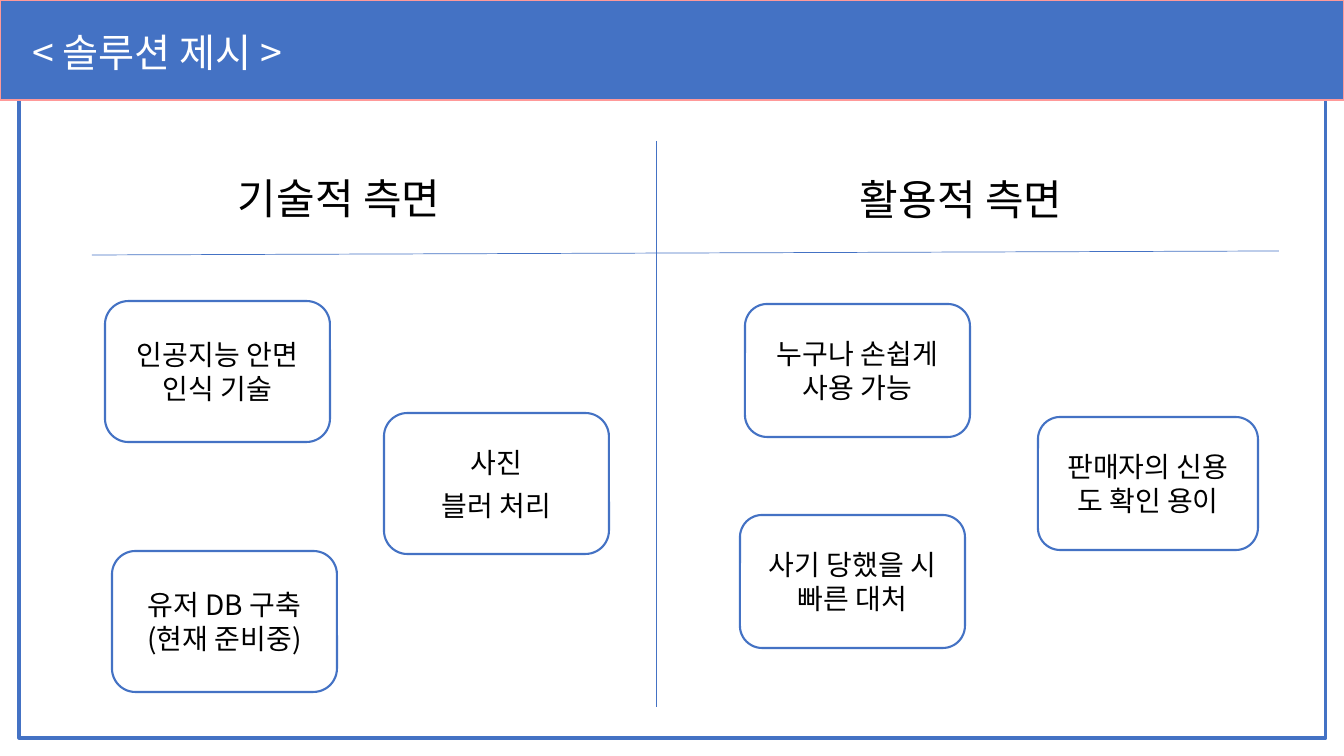
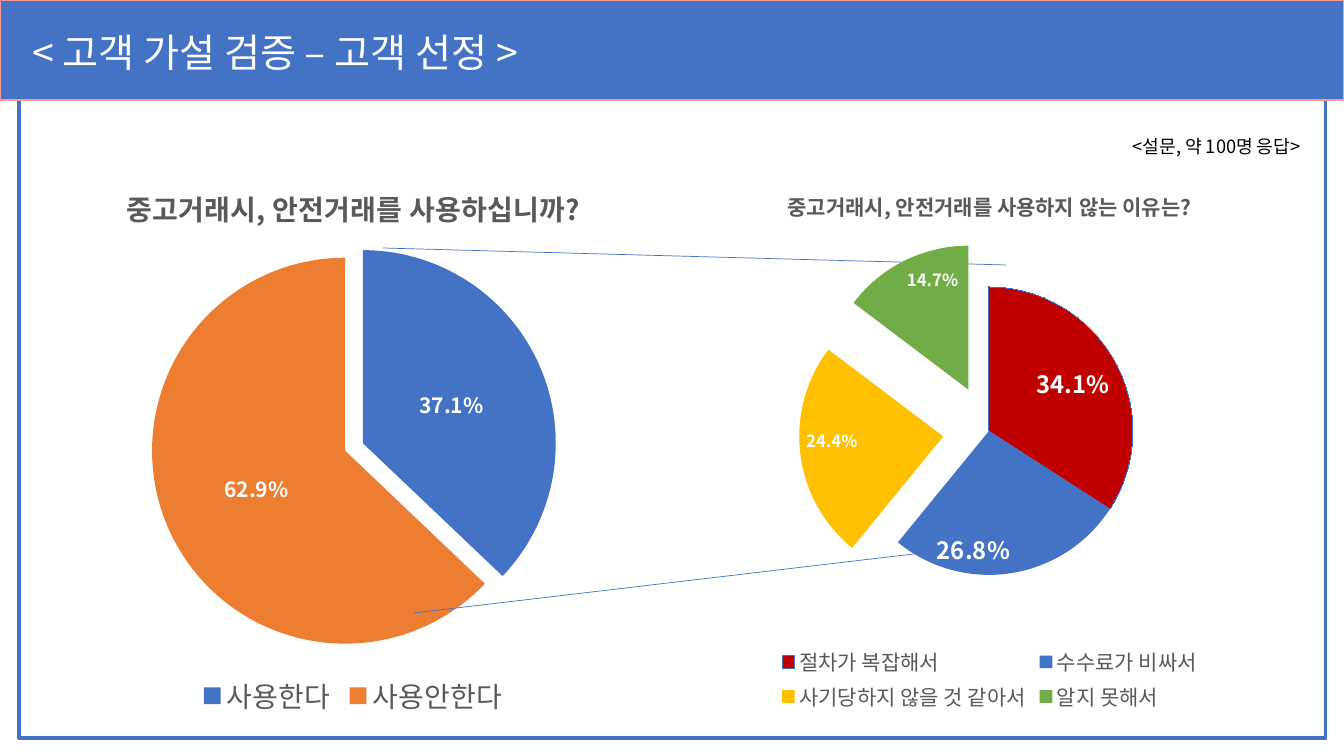
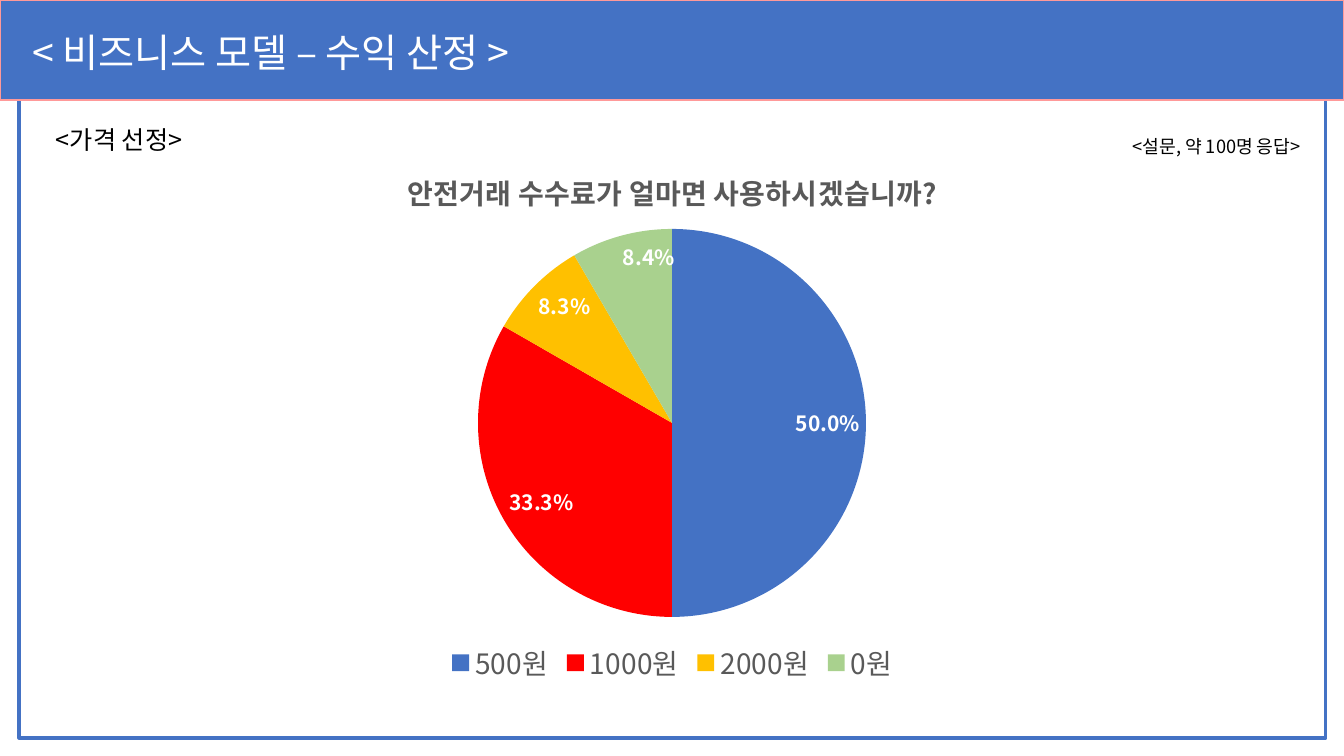
from dataclasses import dataclass
from typing import NamedTuple

from lxml import etree
from pptx import Presentation
from pptx.chart.data import CategoryChartData
from pptx.dml.color import RGBColor
from pptx.enum.chart import XL_CHART_TYPE, XL_LABEL_POSITION, XL_LEGEND_POSITION
from pptx.enum.shapes import MSO_CONNECTOR, MSO_SHAPE
from pptx.enum.text import MSO_ANCHOR, MSO_AUTO_SIZE, PP_ALIGN
from pptx.oxml.ns import qn
from pptx.util import Emu, Pt

PIE = XL_CHART_TYPE.PIE
LABEL_CENTER, LABEL_INSIDE_END = XL_LABEL_POSITION.CENTER, XL_LABEL_POSITION.INSIDE_END
LEGEND_BOTTOM = XL_LEGEND_POSITION.BOTTOM
STRAIGHT = MSO_CONNECTOR.STRAIGHT
RECTANGLE, ROUNDED = MSO_SHAPE.RECTANGLE, MSO_SHAPE.ROUNDED_RECTANGLE
TOP, MIDDLE = MSO_ANCHOR.TOP, MSO_ANCHOR.MIDDLE
NO_AUTOFIT = MSO_AUTO_SIZE.NONE
LEFT, CENTER = PP_ALIGN.LEFT, PP_ALIGN.CENTER

FONT = "Noto Sans CJK KR"
BLUE, PINK, BLACK, WHITE, GRAY = "4472C4", "FF9999", "000000", "FFFFFF", "595959"
ORANGE, DARK_RED, RED, YELLOW = "ED7D31", "C00000", "FF0000", "FFC000"
GREEN, PALE_GREEN = "70AD47", "A9D18E"
PERCENT = "0.0%"
EMU_PER_PIXEL = 914400 / 100.8
TITLE_ONLY = 5


class Box(NamedTuple):
    left: int
    top: int
    width: int
    height: int

    def emu(self) -> list[Emu]:
        return [px(length) for length in self]


@dataclass
class Card:
    box: Box
    text: str


@dataclass
class Heading:
    box: Box
    text: str


@dataclass
class Slice:
    name: str
    value: float
    color: str
    explosion: int = 0
    label_size: int = 0
    outline: str = ""


@dataclass
class Pie:
    box: Box
    plot: Box
    question: str
    slices: list[Slice]
    size: int
    label_size: int
    label_position: XL_LABEL_POSITION = LABEL_INSIDE_END


def px(length: float) -> Emu:
    return Emu(round(length * EMU_PER_PIXEL))


def rgb(color: str) -> RGBColor:
    return RGBColor.from_string(color)


def style_font(font, size: float, color: str = BLACK, bold: bool = False) -> None:
    font.size, font.bold = Pt(size), bold
    font.color.rgb = rgb(color)
    font.name = FONT
    etree.SubElement(font._element, qn("a:ea"), typeface=FONT)


def write(frame, text: str, *, size: float, color: str = BLACK, align=LEFT,
          anchor=TOP, wrap: bool = True, gap: float = 0, inset: int = 10) -> None:
    """Fill a text frame, one paragraph per line of text."""
    frame.auto_size, frame.word_wrap, frame.vertical_anchor = NO_AUTOFIT, wrap, anchor
    frame.margin_left = px(inset)
    for number, line in enumerate(text.split("\n")):
        paragraph = frame.add_paragraph() if number else frame.paragraphs[0]
        paragraph.alignment, paragraph.line_spacing = align, 1.0
        paragraph.space_before = Pt(gap if number else 0)
        run = paragraph.add_run()
        run.text = line
        style_font(run.font, size, color)


def add_text(slide, box: Box, text: str, **style) -> None:
    write(slide.shapes.add_textbox(*box.emu()).text_frame, text, **style)


def add_panel(slide, kind, box: Box, fill: str, line: str, width: float):
    panel = slide.shapes.add_shape(kind, *box.emu())
    panel.shadow.inherit = False
    if fill:
        panel.fill.solid()
        panel.fill.fore_color.rgb = rgb(fill)
    else:
        panel.fill.background()
    panel.line.color.rgb = rgb(line)
    panel.line.width = Pt(width)
    return panel


def add_line(slide, x1: int, y1: int, x2: int, y2: int) -> None:
    line = slide.shapes.add_connector(STRAIGHT, px(x1), px(y1), px(x2), px(y2))
    line.line.color.rgb = rgb(BLUE)
    line.line.width = Pt(0.5)
    etree.SubElement(line.element.spPr, qn("a:effectLst"))


def add_card(slide, card: Card) -> None:
    panel = add_panel(slide, ROUNDED, card.box, WHITE, BLUE, 1.5)
    write(panel.text_frame, card.text, size=20, align=CENTER, anchor=MIDDLE, gap=7)


def set_plot_layout(chart, pie: Pie) -> None:
    """Fix the circle of the unexploded pie, as fractions of the chart."""
    plot_area = chart.element.find(f".//{qn('c:plotArea')}")
    layout = plot_area.find(qn("c:layout"))
    if layout is None:
        layout = etree.Element(qn("c:layout"))
        plot_area.insert(0, layout)
    manual = etree.SubElement(layout, qn("c:manualLayout"))
    fractions = {
        "x": (pie.plot.left - pie.box.left) / pie.box.width,
        "y": (pie.plot.top - pie.box.top) / pie.box.height,
        "w": pie.plot.width / pie.box.width,
        "h": pie.plot.height / pie.box.height,
    }
    settings = {"layoutTarget": "inner", "xMode": "edge", "yMode": "edge"}
    settings |= {key: f"{fraction:.4f}" for key, fraction in fractions.items()}
    for tag, setting in settings.items():
        etree.SubElement(manual, qn(f"c:{tag}"), val=setting)


def style_slice(point, piece: Slice, position) -> None:
    point.format.fill.solid()
    point.format.fill.fore_color.rgb = rgb(piece.color)
    if piece.outline:
        point.format.line.color.rgb = rgb(piece.outline)
    if piece.explosion:
        explosion = etree.Element(qn("c:explosion"), val=str(piece.explosion))
        point.format.fill._xPr.addprevious(explosion)
    if piece.label_size:
        label = point.data_label
        style_font(label.font, piece.label_size, WHITE, True)
        label.position = position
        element = label._dLbl
        element.find(qn("c:showVal")).set("val", "0")
        element.find(qn("c:showPercent")).set("val", "1")
        number_format = etree.Element(qn("c:numFmt"), formatCode=PERCENT, sourceLinked="0")
        element.find(qn("c:txPr")).addprevious(number_format)


def add_pie(slide, pie: Pie) -> None:
    data = CategoryChartData()
    data.categories = [piece.name for piece in pie.slices]
    data.add_series("Series 1", [piece.value for piece in pie.slices])
    chart = slide.shapes.add_chart(PIE, *pie.box.emu(), data).chart
    style_font(chart.font, 10)
    set_plot_layout(chart, pie)

    # Question above the pie
    chart.has_title = True
    question = chart.chart_title.text_frame.paragraphs[0].add_run()
    question.text = pie.question
    style_font(question.font, pie.size, GRAY, True)

    # Answers below it
    chart.has_legend = True
    chart.legend.position, chart.legend.include_in_layout = LEGEND_BOTTOM, False
    style_font(chart.legend.font, pie.size, GRAY)

    # Shares on the slices
    plot = chart.plots[0]
    plot.vary_by_categories = True
    series = plot.series[0]
    labels = series.data_labels
    labels.show_value, labels.show_percentage = False, True
    labels.number_format, labels.number_format_is_linked = PERCENT, False
    labels.position = pie.label_position
    style_font(labels.font, pie.label_size, WHITE, True)
    for number, piece in enumerate(pie.slices):
        style_slice(series.points[number], piece, pie.label_position)


def add_slide(deck, title: str):
    """Add a slide with the shared frame, band and title."""
    slide = deck.slides.add_slide(deck.slide_layouts[TITLE_ONLY])
    add_panel(slide, RECTANGLE, Box(19, 19, 1307, 719), "", BLUE, 2.25)
    add_panel(slide, RECTANGLE, Box(0, 0, 1344, 100), BLUE, PINK, 1)
    heading = slide.shapes.title
    heading.left, heading.top, heading.width, heading.height = Box(13, 23, 952, 58).emu()
    write(heading.text_frame, title, size=28, color=WHITE, inset=19)
    heading.element.getparent().append(heading.element)
    return slide


def add_survey_note(slide) -> None:
    add_text(slide, Box(1089, 123, 255, 46), "<설문, 약 100명 응답>",
             size=13, align=CENTER, anchor=MIDDLE)


HEADINGS = [
    Heading(Box(228, 168, 247, 61), "기술적 측면"),
    Heading(Box(850, 169, 247, 61), "활용적 측면"),
]
CARDS = [
    Card(Box(105, 301, 225, 141), "인공지능 안면 인식 기술"),
    Card(Box(384, 413, 225, 141), "사진\n블러 처리"),
    Card(Box(112, 551, 225, 141), "유저 DB 구축 (현재 준비중)"),
    Card(Box(745, 304, 225, 133), "누구나 손쉽게 사용 가능"),
    Card(Box(740, 515, 225, 133), "사기 당했을 시 빠른 대처"),
    Card(Box(1038, 417, 220, 133), "판매자의 신용 도 확인 용이"),
]
USAGE = Pie(
    Box(-24, 163, 755, 559), Box(161, 254, 386, 386),
    "중고거래시, 안전거래를 사용하십니까?",
    [Slice("사용한다", 37.1, BLUE, explosion=5),
     Slice("사용안한다", 62.9, ORANGE, explosion=5)],
    size=20, label_size=15, label_position=LABEL_CENTER,
)
REASONS = Pie(
    Box(635, 169, 709, 547), Box(845, 287, 288, 288),
    "중고거래시, 안전거래를 사용하지 않는 이유는?",
    [Slice("절차가 복잡해서", 34.1, DARK_RED, label_size=17, outline=BLUE),
     Slice("수수료가 비싸서", 26.8, BLUE, label_size=17),
     Slice("사기당하지 않을 것 같아서", 24.4, YELLOW, explosion=32),
     Slice("알지 못해서", 14.7, GREEN, explosion=32)],
    size=15, label_size=12,
)
FEES = Pie(
    Box(255, 147, 835, 542), Box(478, 229, 388, 388),
    "안전거래 수수료가 얼마면 사용하시겠습니까?",
    [Slice("500원", 50, BLUE), Slice("1000원", 33.3, RED),
     Slice("2000원", 8.3, YELLOW), Slice("0원", 8.4, PALE_GREEN)],
    size=20, label_size=15,
)


def build_solution(deck) -> None:
    slide = add_slide(deck, "< 솔루션 제시 >")
    add_line(slide, 656, 141, 656, 707)
    add_line(slide, 1279, 251, 92, 255)
    for heading in HEADINGS:
        add_text(slide, heading.box, heading.text, size=30, wrap=False)
    for card in CARDS:
        add_card(slide, card)


def build_customers(deck) -> None:
    slide = add_slide(deck, "< 고객 가설 검증 – 고객 선정 >")
    add_pie(slide, USAGE)
    add_line(slide, 383, 248, 1006, 265)
    add_line(slide, 414, 613, 1032, 540)
    add_pie(slide, REASONS)
    add_survey_note(slide)


def build_pricing(deck) -> None:
    slide = add_slide(deck, "< 비즈니스 모델 – 수익 산정 >")
    add_pie(slide, FEES)
    add_text(slide, Box(46, 119, 167, 40), "<가격 선정>", size=18, wrap=False)
    add_survey_note(slide)


deck = Presentation()
deck.slide_width, deck.slide_height = px(1344), px(756)
build_solution(deck)
build_customers(deck)
build_pricing(deck)
deck.save("out.pptx")
